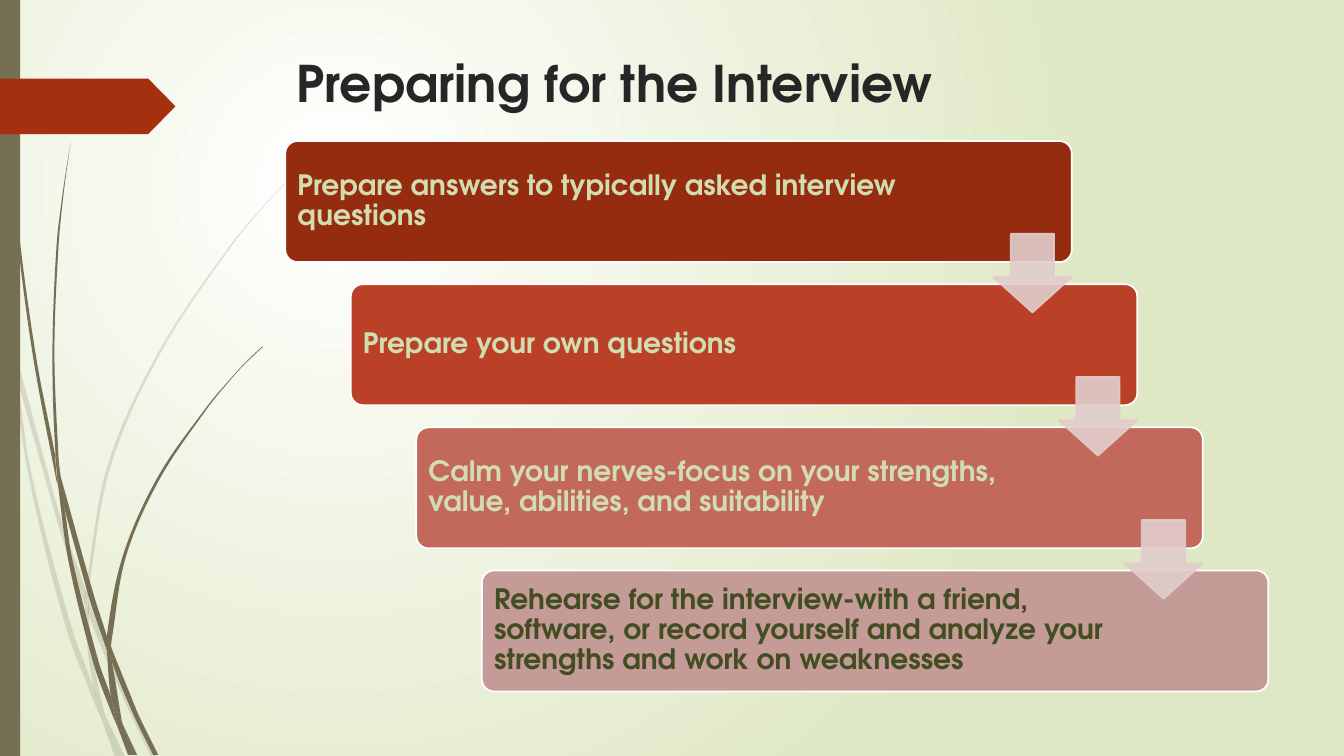
import math

import lxml.etree
import pptx
import pptx.dml.color
import pptx.enum.shapes
import pptx.enum.text
import pptx.oxml.ns
import pptx.util

Inches = pptx.util.Inches
Shapes = pptx.enum.shapes.MSO_SHAPE
Anchor = pptx.enum.text.MSO_ANCHOR
qn = pptx.oxml.ns.qn

FONT = "TeX Gyre Adventor"
OLIVE, WHITE, ARROW = "766F54", "FFFFFF", "E1CDCC"
STEPS = [
    ("Prepare answers to typically asked interview questions", "962C0F", "D1DDB0"),
    ("Prepare your own questions", "BA4128", "D1DDB0"),
    ("Calm your nerves-focus on your strengths, value, abilities, and suitability",
     "C3695C", "D1DDB0"),
    ("Rehearse for the interview-with a friend, software, or record yourself "
     "and analyze your strengths and work on weaknesses", "C59B98", "424D22"),
]
PALE_BLADES = [
    [(.11, 3.5), (.09, 3.22), (0, 2.82), (0, 2.99), (.1, 3.44)],
    [(.58, 5.22), (.84, 5.99), (.85, 5.86), (.62, 5.2), (.14, 3.45), (.17, 3.76)],
    [(.92, 6.07), (.88, 5.96), (.88, 6.1), (1.23, 6.94), (1.5, 7.51), (1.55, 7.51),
     (1.27, 6.92)],
    [(1.19, 7.51), (1.24, 7.51), (1.05, 7.11)],
    [(.93, 6.83), (.7, 6.19), (.31, 4.69), (.17, 3.76), (.11, 3.5), (.28, 4.7),
     (.65, 6.21), (.92, 6.93), (1.01, 7.14), (.99, 7.07)],
    [(.84, 5.99), (.87, 6.46), (.93, 6.83), (.96, 6.92), (1.05, 7.11), (1.03, 7.06),
     (.91, 6.46), (.88, 6.1), (.88, 6.08)],
    [(.88, 5.84), (1.1, 4.62), (1.6, 3.49), (2.29, 2.45), (2.68, 1.98), (2.9, 1.75),
     (3.12, 1.54), (3.12, 1.53), (2.89, 1.75), (2.68, 1.97), (2.28, 2.44), (1.58, 3.48),
     (1.07, 4.61), (.85, 5.84), (.85, 5.86), (.88, 5.96)],
    [(1.01, 7.14), (1.14, 7.51), (1.19, 7.51)],
    [(.88, 6.08), (.88, 6.1), (.88, 5.96), (.85, 5.86), (.84, 5.99)],
    [(.96, 6.92), (.93, 6.83), (.99, 7.07), (1.01, 7.14), (1.19, 7.51), (1.05, 7.11)],
]
DARK_BLADES = [
    [(.07, 1.1), (.17, 2.33), (.33, 3.55), (.56, 4.77), (.57, 4.81), (.55, 4.57),
     (.55, 4.53), (.36, 3.55), (.19, 2.32), (.08, 1.09), (.05, .48), (.04, 0), (.03, 0),
     (.04, .48)],
    [(.88, 5.92), (1.06, 6.45), (1.06, 6.33), (1.06, 6.31), (.93, 5.9), (.6, 4.72),
     (.64, 5.05)],
    [(1.13, 6.49), (1.1, 6.41), (1.11, 6.56), (1.32, 7.08), (1.52, 7.49), (1.57, 7.49),
     (1.36, 7.06)],
    [(1.1, 6.91), (.98, 6.57), (.72, 5.56), (.64, 5.05), (.57, 4.77), (.68, 5.57),
     (.93, 6.59), (1.11, 7.08), (1.17, 7.22), (1.16, 7.17)],
    [(.6, 4.72), (.58, 4.53), (.54, 3.49), (.58, 2.45), (.63, 1.93), (.7, 1.41),
     (.62, 1.93), (.56, 2.45), (.52, 3.49), (.55, 4.49)],
    [(1.33, 7.49), (1.36, 7.49), (1.22, 7.19)],
    [(.57, 4.77), (.64, 5.05), (.6, 4.72), (.55, 4.49), (.55, 4.53)],
    [(1.11, 6.33), (1.25, 5.52), (1.58, 4.76), (2.05, 4.06), (2.31, 3.74), (2.45, 3.59),
     (2.61, 3.44), (2.6, 3.44), (2.45, 3.58), (2.31, 3.73), (2.04, 4.05), (1.56, 4.74),
     (1.22, 5.51), (1.06, 6.31), (1.1, 6.41)],
    [(1.17, 7.22), (1.27, 7.49), (1.31, 7.49)],
    [(1.06, 6.45), (1.1, 6.91), (1.16, 7.06), (1.22, 7.19), (1.21, 7.16), (1.11, 6.56),
     (1.09, 6.51)],
    [(1.06, 6.45), (1.09, 6.51), (1.11, 6.56), (1.1, 6.41), (1.06, 6.31), (1.06, 6.33)],
    [(1.16, 7.06), (1.1, 6.91), (1.16, 7.17), (1.17, 7.22), (1.3, 7.49), (1.33, 7.49),
     (1.22, 7.19)],
]


def color(value):
    """Turn a hex string into a colour."""
    return pptx.dml.color.RGBColor.from_string(value)


def set_values(target, values):
    """Set each attribute named in a dict of format values."""
    for name, value in values.items():
        setattr(target, name, value)


def set_opacity(fill_parent, percent):
    """Make the solid fill directly under an element partly transparent."""
    tint = fill_parent.find(qn("a:solidFill") + "/" + qn("a:srgbClr"))
    lxml.etree.SubElement(tint, qn("a:alpha"), val=str(percent * 1000))


def paint(shape, fill, line=None, opacity=100):
    """Give a shape its fill and outline, without a shadow."""
    shape.shadow.inherit = False
    shape.fill.solid()
    shape.fill.fore_color.rgb = color(fill)
    properties = shape.element.spPr
    if line:
        shape.line.color.rgb = color(line)
        shape.line.width = pptx.util.Pt(1.25)
    else:
        shape.line.fill.background()
    if opacity < 100:
        set_opacity(properties, opacity)
        if line:
            set_opacity(properties.find(qn("a:ln")), opacity)


def add_shape(page, kind, box, fill, line=None, opacity=100, adjustments=()):
    """Add a painted preset shape in a box given in inches."""
    shape = page.shapes.add_shape(kind, *map(Inches, box))
    for index, value in enumerate(adjustments):
        shape.adjustments[index] = value
    paint(shape, fill, line, opacity)


def write(shape, text, anchor, size, tint, spacing=None):
    """Write one left-aligned paragraph into a shape."""
    set_values(shape.text_frame, {"word_wrap": True, "vertical_anchor": anchor,
                                  "auto_size": pptx.enum.text.MSO_AUTO_SIZE.NONE})
    para = shape.text_frame.paragraphs[0]
    set_values(para, {"alignment": pptx.enum.text.PP_ALIGN.LEFT, "line_spacing": spacing})
    span = para.add_run()
    span.text = text
    set_values(span.font, {"name": FONT, "bold": True, "size": pptx.util.Pt(size)})
    span.font.color.rgb = color(tint)


def control(before, corner, after, target):
    """Return the Bezier handle at a corner on its side towards target."""
    ahead = math.atan2(after[1] - corner[1], after[0] - corner[0])
    behind = math.atan2(corner[1] - before[1], corner[0] - before[0])
    angle = math.atan2(target[1] - corner[1], target[0] - corner[0])
    if math.cos(ahead - behind) > 0.7:
        angle = math.atan2(after[1] - before[1], after[0] - before[0])
        angle += math.pi if target == before else 0
    reach = math.dist(corner, target) / 3
    return corner[0] + reach * math.cos(angle), corner[1] + reach * math.sin(angle)


def bend(shape):
    """Turn the straight segments of a freeform into smooth curves."""
    outline = shape.element.find(".//" + qn("a:path"))
    points = [(int(point.get("x")), int(point.get("y"))) for point in outline.iter(qn("a:pt"))]
    count = len(points)
    for index, segment in enumerate(outline.findall(qn("a:lnTo"))):
        before, start, end, after = (points[(index + k) % count] for k in (-1, 0, 1, 2))
        curve = lxml.etree.Element(qn("a:cubicBezTo"))
        for x, y in (control(before, start, end, end), control(start, end, after, start), end):
            lxml.etree.SubElement(curve, qn("a:pt"), x=str(round(x)), y=str(round(y)))
        outline.replace(segment, curve)


def add_blade(page, points, opacity):
    """Draw one piece of a grass blade with a smooth outline."""
    outline = [(x * 1000, y * 1000) for x, y in points]
    builder = page.shapes.build_freeform(*outline[0], scale=Inches(1) / 1000)
    builder.add_line_segments(outline[1:], close=True)
    blade = builder.convert_to_shape()
    bend(blade)
    paint(blade, OLIVE, opacity=opacity)


def add_background(page):
    """Fill the page with a round gradient from white to pale green."""
    fill = page.background.fill
    fill.gradient()
    for stop, position, tint in zip(fill.gradient_stops, (0, 1), (WHITE, "DFE8C4")):
        stop.position = position
        stop.color.rgb = color(tint)
    gradient = page.element.find(".//" + qn("a:gradFill"))
    gradient.remove(gradient.find(qn("a:lin")))
    circle = lxml.etree.SubElement(gradient, qn("a:path"), path="circle")
    lxml.etree.SubElement(circle, qn("a:fillToRect"),
                          l="50000", t="50000", r="100000", b="100000")


def add_margin(page, box):
    """Draw the grass, the side bar and the red tag in the left margin."""
    left, top, width, height = box
    for blades, opacity in ((PALE_BLADES, 20), (DARK_BLADES, 100)):
        for points in blades:
            add_blade(page, [(left + x, top + y) for x, y in points], opacity)
    add_shape(page, Shapes.RECTANGLE, (left, top, 0.2, height), OLIVE)
    add_shape(page, Shapes.PENTAGON, (left, top + 0.78, width, 0.55), "A53010",
              adjustments=[0.49])


def add_title(page, box):
    """Place and fill the title placeholder."""
    title = page.shapes.title
    set_values(title, dict(zip(("left", "top", "width", "height"), map(Inches, box))))
    write(title, "Preparing for the Interview", Anchor.TOP, 36, "262626")


def add_staircase(page, box):
    """Lay the steps out as descending cards joined by down arrows."""
    left, top, width, height = box
    card_width, card_height, arrow = 7.8, 1.2, 0.78
    gaps = len(STEPS) - 1
    shift, drop = (width - card_width) / gaps, (height - card_height) / gaps
    corners = [(left + i * shift, top + i * drop) for i in range(len(STEPS))]
    sides = ("margin_left", "margin_right", "margin_top", "margin_bottom")
    for (x, y), (text, fill, tint) in zip(corners, STEPS):
        add_shape(page, Shapes.ROUNDED_RECTANGLE, (x, y, card_width, card_height),
                  fill, WHITE, adjustments=[0.1])
        label = page.shapes.add_textbox(*map(Inches, (x + 0.04, y + 0.03, 6.3, 1.13)))
        set_values(label.text_frame, dict.fromkeys(sides, Inches(0.08)))
        write(label, text, Anchor.MIDDLE, 20, tint, 0.9)
    for x, y in corners[:-1]:
        add_shape(page, Shapes.DOWN_ARROW, (x + card_width - arrow, y + 0.92, arrow, arrow),
                  ARROW, ARROW, 90, [0.55, 0.45])


def main():
    """Build the slide and save the deck."""
    deck = pptx.Presentation()
    set_values(deck, {"slide_width": Inches(13.33), "slide_height": Inches(7.5)})
    page = deck.slides.add_slide(deck.slide_layouts[5])
    add_background(page)
    add_margin(page, (0, 0, 1.74, 7.5))
    add_title(page, (2.84, 0.47, 9.75, 0.74))
    add_staircase(page, (2.83, 1.4, 9.75, 5.46))
    deck.save("out.pptx")


if __name__ == "__main__":
    main()
